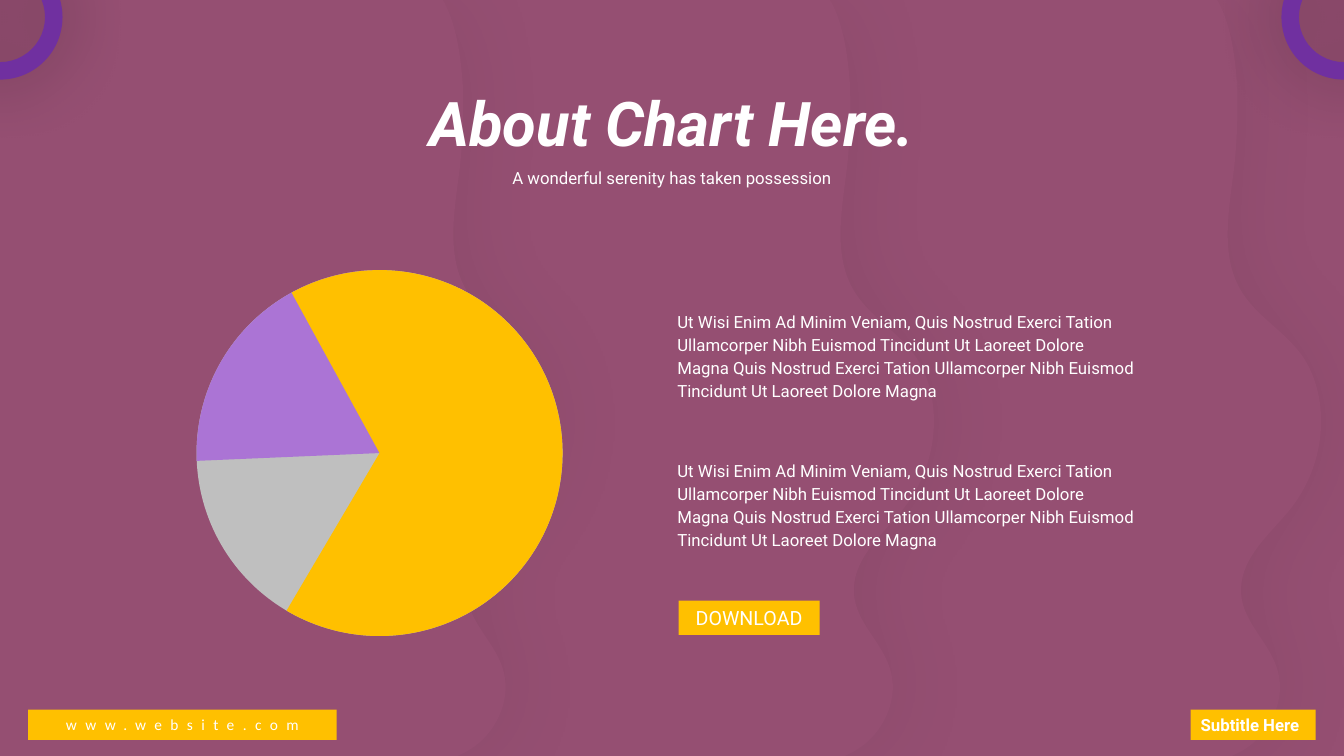
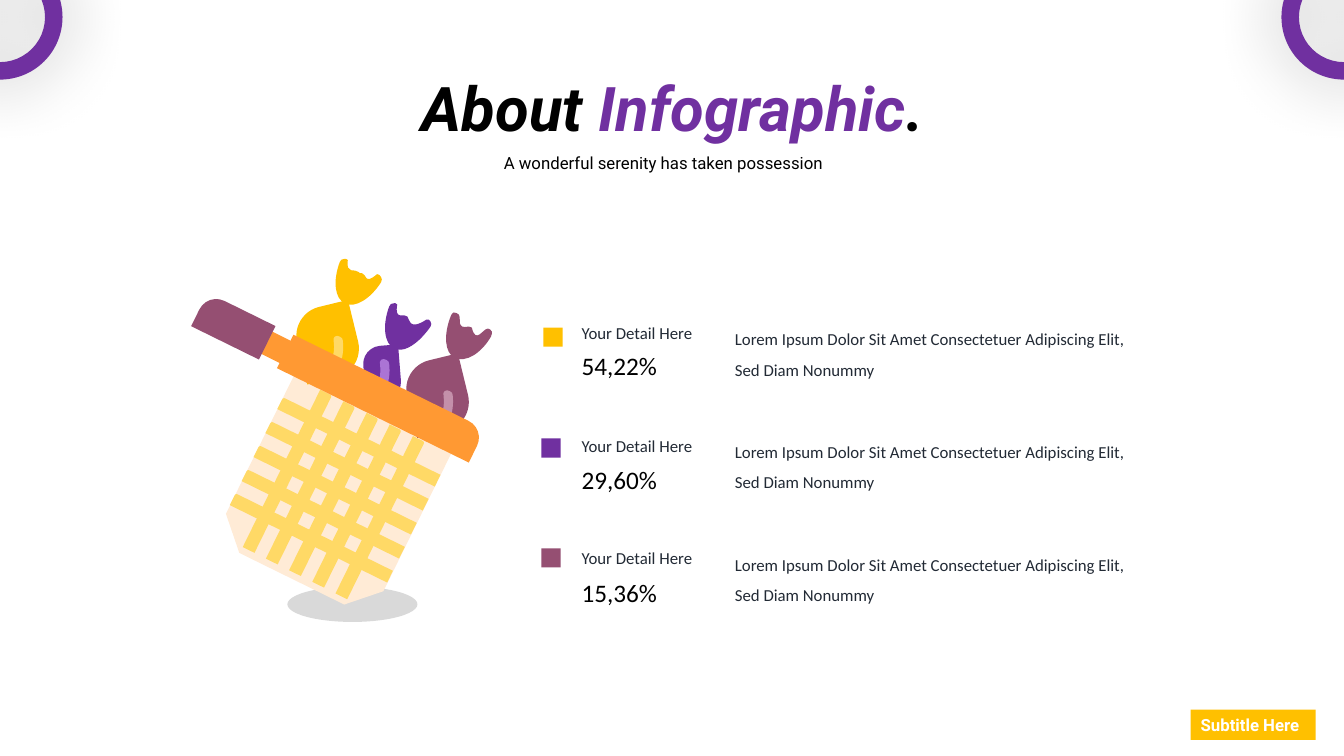
from dataclasses import dataclass
from math import cos, radians, sin

from lxml.etree import SubElement
from pptx import Presentation
from pptx.dml.color import RGBColor
from pptx.enum.shapes import MSO_SHAPE as Preset
from pptx.enum.text import MSO_ANCHOR as Anchor, PP_ALIGN as Align
from pptx.oxml.ns import qn
from pptx.util import Inches, Pt

WIDTH, HEIGHT = Inches(13.33), Inches(7.5)
ROWS = 75
CELL = HEIGHT // ROWS
COLUMNS = WIDTH / CELL

PLUM = RGBColor(0x95, 0x4F, 0x72)
PURPLE = RGBColor(0x70, 0x30, 0xA0)
LILAC = RGBColor(0xAB, 0x74, 0xD5)
ROSE = RGBColor(0xC4, 0x90, 0xAA)
AMBER = RGBColor(0xFF, 0xC0, 0x00)
STRAW = RGBColor(0xFF, 0xD9, 0x66)
CREAM = RGBColor(0xFF, 0xEB, 0xD6)
ORANGE = RGBColor(0xFF, 0x99, 0x33)
SILVER = RGBColor(0xBF, 0xBF, 0xBF)
MIST = RGBColor(0xD9, 0xD9, 0xD9)
INK = RGBColor(0x22, 0x2A, 0x35)
BLACK = RGBColor(0, 0, 0)
WHITE = RGBColor(0xFF, 0xFF, 0xFF)

TILT = 26.2
WAVE_PITCH = 38.4
ANGLE_UNIT = 0.6
SLOGAN = "A wonderful serenity has taken possession"
PASSAGE = (
    "Ut Wisi Enim Ad Minim Veniam, Quis Nostrud Exerci Tation Ullamcorper Nibh "
    "Euismod Tincidunt Ut Laoreet Dolore Magna Quis Nostrud Exerci Tation "
    "Ullamcorper Nibh Euismod Tincidunt Ut Laoreet Dolore Magna"
)
SUMMARY = "Lorem Ipsum Dolor Sit Amet Consectetuer Adipiscing Elit, Sed Diam Nonummy"

WAVE = [
    (43.9, 0), (0, 0), (0, 75), (45.4, 75), (45.8, 74.8),
    (46.1, 74.7, 46.4, 74.5, 46.7, 74.3), (49, 72.9, 50.7, 69.7, 50, 66.8),
    (49.3, 63.8, 46.5, 61.9, 46.3, 58.9), (46.1, 55.7, 48.7, 53.4, 50.6, 51.2),
    (52.4, 49.2, 53.7, 46.6, 54.1, 43.7), (54.5, 40.8, 54, 37.8, 52.5, 35.5),
    (50.6, 32.7, 47.5, 31.3, 46, 28.3), (44.3, 24.9, 45.1, 20.7, 45.6, 16.7),
    (45.9, 14, 46, 11.1, 45.9, 8.4), (45.7, 5.6, 45.3, 2.6, 44.1, 0.3),
]
HANDLE_JOINT = [(30.8, 34.8), (26.6, 32.7), (25.5, 34.9), (29.7, 37)]
SHEEN = [
    (0, 0), (0.1, 0.7, 0, 1.4, -0.3, 2.1), (-0.4, 2.3, -0.3, 2.6, -0.1, 2.7),
    (0.1, 2.8, 0.4, 2.7, 0.5, 2.5), (0.9, 1.7, 1, 0.8, 0.9, -0.1),
    (0.9, -0.3, 0.8, -0.4, 0.6, -0.5), (0.4, -0.6, 0.3, -0.6, 0.1, -0.5),
    (0, -0.4, -0.1, -0.2, 0, 0),
]
PURPLE_TWIST = [
    (38.6, 30.4), (37.9, 32.3, 38.1, 34.1, 39.1, 34.6),
    (39.3, 34.7, 39.5, 34.7, 39.8, 34.7), (40.7, 34.6, 41.8, 33.7, 42.7, 32.4),
    (42.8, 32.2, 42.8, 32.1, 42.7, 31.9), (42.6, 31.8, 42.5, 31.6, 42.3, 31.7),
    (40.5, 32.9, 40.6, 31.6, 40.4, 31.4), (40.1, 31, 39.1, 31.9, 39.4, 30.2),
    (39.3, 30.1, 39.1, 30, 39, 30.1), (38.8, 30.1, 38.7, 30.2, 38.6, 30.4),
]
PLUM_TWIST = [
    (45.5, 31.2), (45.4, 31.1, 45.2, 31, 45, 31), (44.9, 31.1, 44.7, 31.2, 44.7, 31.4),
    (44, 33.2, 44.1, 35, 45.1, 35.5), (46.2, 36, 47.7, 35.1, 48.7, 33.4),
    (48.8, 33.2, 48.8, 33, 48.8, 32.9), (48.7, 32.7, 48.5, 32.6, 48.4, 32.6),
    (47.9, 32.6, 47.2, 34.2, 46.8, 32.5), (46.7, 32.5, 46.6, 32.5, 46.5, 32.4),
    (45.2, 32.7, 45.8, 31.6, 45.5, 31.2),
]
AMBER_TWIST = [
    (34.5, 25.8), (34.4, 25.7, 34.2, 25.6, 34.1, 25.7),
    (33.9, 25.7, 33.8, 25.8, 33.7, 26), (33, 27.9, 33.2, 29.6, 34.2, 30.1),
    (35.2, 30.6, 36.7, 29.7, 37.8, 28), (37.9, 27.8, 37.9, 27.6, 37.8, 27.5),
    (37.7, 27.3, 37.6, 27.2, 37.4, 27.2), (36.1, 28.3, 36.4, 27.2, 35.9, 27.1),
    (35.7, 27.1, 35.6, 27.1, 35.6, 27), (35.2, 26.6, 34.3, 27.3, 34.5, 25.8),
]


@dataclass
class Style:
    size: float
    font: str = "Roboto"
    bold: bool = False
    italic: bool = False
    align: Align = Align.LEFT
    leading: float = 1.0
    tracking: int = 0


@dataclass
class Detail:
    figure: str
    color: RGBColor
    label_top: float
    figure_top: float
    summary_top: float
    marker: tuple


TITLE = Style(44, bold=True, italic=True, align=Align.CENTER)
TAGLINE = Style(12, align=Align.CENTER, leading=1.5)
BODY = Style(12, leading=1.14)
BUTTON = Style(14, align=Align.CENTER)
BADGE = Style(12, bold=True)
ADDRESS = Style(11, font="Calibri", align=Align.CENTER, tracking=600)
FIGURE = Style(18, font="Calibri")
LABEL = Style(12, font="Calibri")
NOTE = Style(12, font="Calibri", leading=1.5)
DETAILS = [
    Detail("54,22%", AMBER, 31.5, 34.3, 31.15, (53.9, 32.5)),
    Detail("29,60%", PURPLE, 42.75, 45.55, 42.3, (53.7, 43.5)),
    Detail("15,36%", PLUM, 53.8, 56.8, 53.55, (53.7, 54.4)),
]


def cells(*lengths):
    return [round(length * CELL) for length in lengths]


def paint(shape, color):
    shape.shadow.inherit = False
    shape.fill.solid()
    shape.fill.fore_color.rgb = color
    shape.line.fill.background()
    return shape


def cast_shadow(shape, opacity, blur, distance=0):
    effects = shape.element.spPr.find(qn("a:effectLst"))
    shadow = SubElement(effects, qn("a:outerShdw"), blurRad=str(Pt(blur)),
                        dist=str(Pt(distance)), dir="0", algn="ctr", rotWithShape="0")
    tone = SubElement(shadow, qn("a:srgbClr"), val=str(BLACK))
    SubElement(tone, qn("a:alpha"), val=str(opacity * 1000))


def add_preset(shapes, preset, box, color, adjust=(), tilt=0, mirrored=False):
    shape = paint(shapes.add_shape(preset, *cells(*box)), color)
    for index, value in enumerate(adjust):
        shape.adjustments[index] = value
    shape.rotation = tilt
    if mirrored:
        shape.element.spPr.find(qn("a:xfrm")).set("flipH", "1")
    return shape


def turn_point(x, y, pivot, angle):
    dx, dy = x - pivot[0], y - pivot[1]
    c, s = cos(radians(angle)), sin(radians(angle))
    return round(pivot[0] + dx * c - dy * s), round(pivot[1] + dx * s + dy * c)


def bend(shape, segments):
    lines = list(shape.element.spPr.iter(qn("a:lnTo")))
    for line, (*controls, _) in zip(lines, segments):
        if controls:
            line.tag = qn("a:cubicBezTo")
        for index, (x, y) in enumerate(controls):
            control = SubElement(line, qn("a:pt"), x=str(x - shape.left), y=str(y - shape.top))
            line.insert(index, control)


def add_outline(shapes, outline, color, left=0, top=0, tilt=0):
    pivot = cells(outline[0][0] + left, outline[0][1] + top)
    segments = [
        [turn_point(*cells(x + left, y + top), pivot, -tilt)
         for x, y in zip(segment[::2], segment[1::2])]
        for segment in outline
    ]
    builder = shapes.build_freeform(*pivot)
    builder.add_line_segments([segment[-1] for segment in segments[1:]], close=True)
    shape = paint(builder.convert_to_shape(), color)
    bend(shape, segments[1:])
    half_width, half_height = shape.width // 2, shape.height // 2
    center = turn_point(shape.left + half_width, shape.top + half_height, pivot, tilt)
    shape.left, shape.top = center[0] - half_width, center[1] - half_height
    shape.rotation = tilt
    return shape


def write(shape, pieces, style, anchor=Anchor.TOP):
    frame = shape.text_frame
    frame.word_wrap = True
    frame.vertical_anchor = anchor
    paragraph = frame.paragraphs[0]
    paragraph.text = pieces[0][0]
    for text, _ in pieces[1:]:
        paragraph.add_run().text = text
    paragraph.alignment = style.align
    paragraph.line_spacing = style.leading
    for run, (_, color) in zip(paragraph.runs, pieces):
        run.font.name = style.font
        run.font.size = Pt(style.size)
        run.font.bold = style.bold
        run.font.italic = style.italic
        run.font.color.rgb = color
        if style.tracking:
            run.font._element.set("spc", str(style.tracking))


def add_text(slide, box, text, style, color):
    write(slide.shapes.add_textbox(*cells(*box)), [(text, color)], style)


def add_tag(slide, box, text, style):
    tag = add_preset(slide.shapes, Preset.RECTANGLE, box, AMBER)
    write(tag, [(text, WHITE)], style, Anchor.MIDDLE)


def add_heading(slide, box, pieces, tagline_left, tagline_top, tagline_color):
    write(slide.shapes.add_textbox(*cells(*box)), pieces, TITLE)
    add_text(slide, (tagline_left, tagline_top, 44.2, 3.7), SLOGAN, TAGLINE, tagline_color)


def add_slide(deck, color):
    slide = deck.slides.add_slide(deck.slide_layouts[6])
    slide.background.fill.solid()
    slide.background.fill.fore_color.rgb = color
    return slide


def add_frame(slide):
    add_tag(slide, (118.1, 70.4, 12.4, 3), "Subtitle Here", BADGE)
    for edge in (0, COLUMNS):
        ring = add_preset(slide.shapes, Preset.DONUT, (edge - 6.2, -4.5, 12.4, 12.4),
                          PURPLE, [0.14])
        cast_shadow(ring, 33, 49)


def add_waves(slide):
    waves = slide.shapes.add_group_shape().shapes
    for position in (2, 1, 0):
        wave = add_outline(waves, WAVE, PLUM, left=position * WAVE_PITCH)
        cast_shadow(wave, 5, 66, 3)


def add_pie(slide):
    disc = (19.5, 26.8, 36.3, 36.3)
    add_preset(slide.shapes, Preset.OVAL, disc, SILVER)
    for start, end, color in ((177.54, 270, LILAC), (241.28, 120.53, AMBER)):
        add_preset(slide.shapes, Preset.PIE, disc, color,
                   [start * ANGLE_UNIT, end * ANGLE_UNIT])


def add_candy(shapes, box, tilt, color):
    add_preset(shapes, Preset.ROUND_2_DIAG_RECTANGLE, box, color, [0.5, 0], tilt, True)


def add_basket(slide):
    add_preset(slide.shapes, Preset.OVAL, (28.5, 58.2, 12.9, 3.5), MIST)
    basket = slide.shapes.add_group_shape().shapes
    add_preset(basket, Preset.SNIP_2_SAME_RECTANGLE, (24.5, 39.1, 17.4, 19.3),
               CREAM, tilt=TILT + 180)
    add_outline(basket, HANDLE_JOINT, ORANGE, tilt=TILT)
    add_preset(basket, Preset.ROUND_1_RECTANGLE, (19.4, 30.5, 7.5, 3.7), PLUM,
               [0.5], TILT, True)
    for left, top, step_x, step_y, turn in ((26.9, 43.2, -1.18, 2.38, 0),
                                            (29, 50.7, -2.3, -1.15, 90)):
        for strip in range(5):
            add_preset(basket, Preset.ROUND_1_RECTANGLE,
                       (left + strip * step_x, top + strip * step_y, 17.4, 1.3),
                       STRAW, tilt=TILT + turn, mirrored=True)
    add_candy(basket, (39.8, 36.3, 7.2, 5.9), 76.3, PLUM)
    add_candy(basket, (35.2, 35.2, 5.4, 3.6), 85.4, PURPLE)
    add_outline(basket, PURPLE_TWIST, PURPLE, tilt=TILT)
    add_outline(basket, SHEEN, ROSE, 44, 39.3, TILT)
    add_outline(basket, PLUM_TWIST, PLUM, tilt=TILT)
    add_outline(basket, SHEEN, LILAC, 37.7, 36.2, TILT)
    add_candy(basket, (28.9, 31, 7.2, 5.9), 76.3, AMBER)
    add_outline(basket, SHEEN, STRAW, 33.1, 33.9, TILT)
    add_outline(basket, AMBER_TWIST, AMBER, tilt=TILT)
    add_preset(basket, Preset.ROUND_1_RECTANGLE, (27.2, 37.7, 21.2, 3.7), ORANGE,
               [0.5], TILT)


def add_detail(slide, detail):
    add_text(slide, (56.7, detail.figure_top, 15.5, 4), detail.figure, FIGURE, BLACK)
    add_text(slide, (56.7, detail.label_top, 18.8, 3), "Your Detail Here", LABEL, INK)
    add_preset(slide.shapes, Preset.RECTANGLE, (*detail.marker, 1.9, 1.9), detail.color)
    add_text(slide, (71.9, detail.summary_top, 42.2, 6.8), SUMMARY, NOTE, INK)


def build_chart_slide(deck):
    slide = add_slide(deck, PLUM)
    add_waves(slide)
    add_heading(slide, (33.7, 7.9, 65.9, 8.4), [("About Chart Here.", WHITE)],
                44.55, 15.15, WHITE)
    add_pie(slide)
    for top in (30.2, 44.9):
        add_text(slide, (66.2, top, 47.6, 10.1), PASSAGE, BODY, WHITE)
    add_tag(slide, (67.3, 59.6, 14, 3.4), "DOWNLOAD", BUTTON)
    add_frame(slide)
    add_tag(slide, (2.8, 70.4, 30.6, 3), "www.website.com", ADDRESS)


def build_infographic_slide(deck):
    slide = add_slide(deck, WHITE)
    add_basket(slide)
    for detail in DETAILS:
        add_detail(slide, detail)
    add_heading(slide, (23.7, 6.4, 86, 8.4),
                [("About ", BLACK), ("Infographic", PURPLE), (".", BLACK)],
                43.7, 13.7, BLACK)
    add_frame(slide)


def main():
    deck = Presentation()
    deck.slide_width, deck.slide_height = WIDTH, HEIGHT
    build_chart_slide(deck)
    build_infographic_slide(deck)
    deck.save("out.pptx")


if __name__ == "__main__":
    main()
